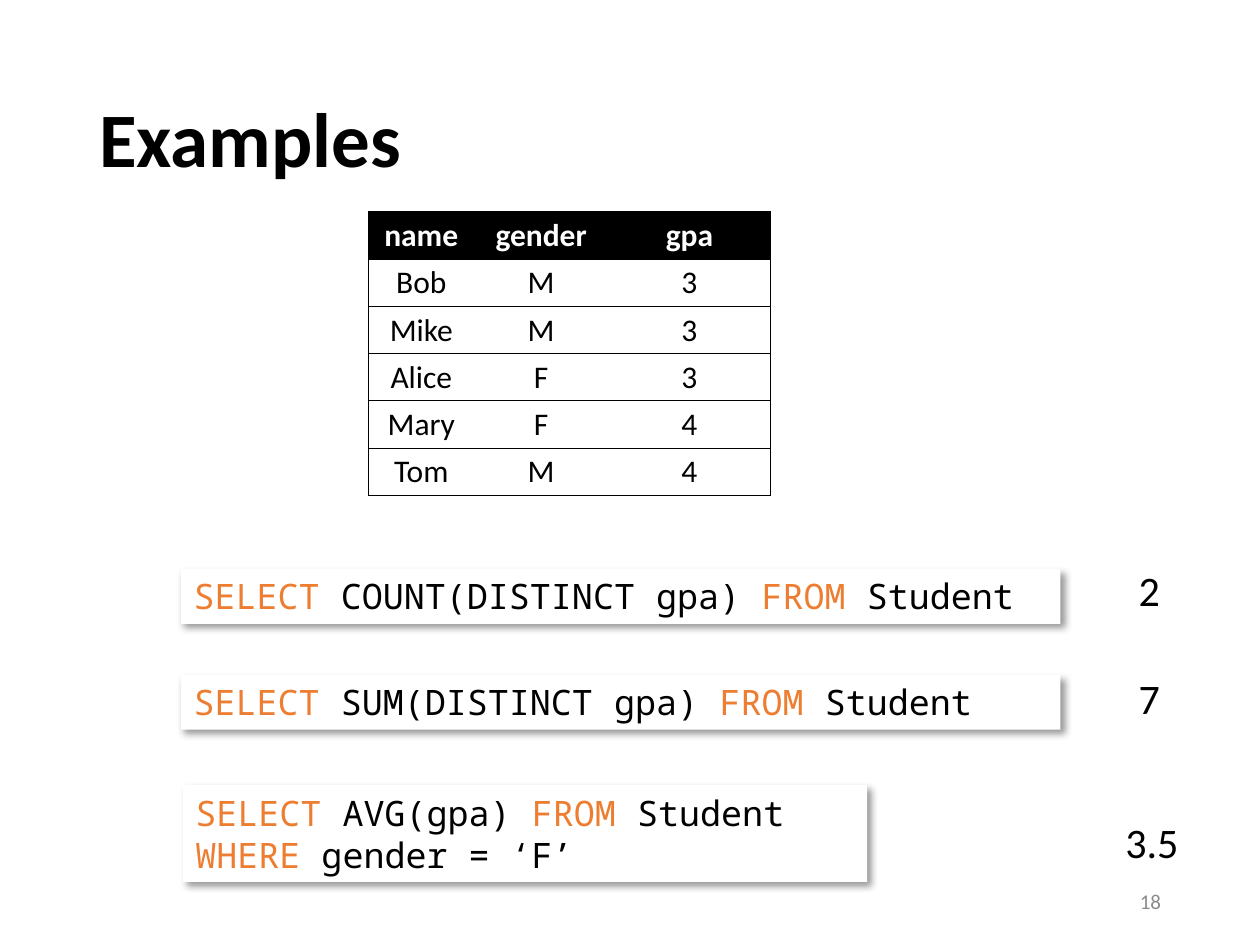
from itertools import groupby

from lxml.etree import SubElement
from pptx import Presentation
from pptx.dml.color import RGBColor
from pptx.enum.shapes import MSO_SHAPE
from pptx.enum.text import MSO_ANCHOR, PP_ALIGN
from pptx.oxml.ns import qn
from pptx.util import Pt

BLACK = RGBColor(0, 0, 0)
WHITE = RGBColor(255, 255, 255)
ORANGE = RGBColor(0xED, 0x7D, 0x31)
GRAY = RGBColor(0x8C, 0x8C, 0x8C)

SANS, MONO = "Calibri", "Noto Sans Mono"
KEYWORDS = {"SELECT", "FROM", "WHERE"}

STUDENTS = [
    ("name", "gender", "gpa"),
    ("Bob", "M", "3"),
    ("Mike", "M", "3"),
    ("Alice", "F", "3"),
    ("Mary", "F", "4"),
    ("Tom", "M", "4"),
]
COLUMN_WIDTHS = (60.5, 76.5, 93)
ROW_HEIGHT = 27

# query text, query box, result, result box
QUERIES = [
    ("SELECT COUNT(DISTINCT gpa) FROM Student", (103.5, 325, 502.5, 31.5),
     "2", (643.5, 319, 27, 36)),
    ("SELECT SUM(DISTINCT gpa) FROM Student", (103.5, 385.5, 502.5, 31.5),
     "7", (643.5, 381, 27, 36)),
    ("SELECT AVG(gpa) FROM Student WHERE gender = ‘F’", (104.5, 448.5, 391, 55.5),
     "3.5", (636, 463, 45, 36)),
]


def style(item, size, color, bold=False, name=SANS):
    """Format the font of a run or a paragraph."""
    font = item.font
    font.name, font.size, font.bold = name, Pt(size), bold
    font.color.rgb = color


def add_title(slide, box, text):
    title = slide.shapes.title
    title.left, title.top, title.width, title.height = map(Pt, box)
    tf = title.text_frame
    tf.text = text
    tf.vertical_anchor = MSO_ANCHOR.MIDDLE
    p = tf.paragraphs[0]
    p.alignment, p.line_spacing = PP_ALIGN.LEFT, 0.9
    style(p.runs[0], 44, BLACK, bold=True)


def add_text(slide, box, text, size, color, align=PP_ALIGN.LEFT, wrap=False):
    tf = slide.shapes.add_textbox(*map(Pt, box)).text_frame
    tf.text = text
    tf.word_wrap = wrap
    tf.vertical_anchor = MSO_ANCHOR.MIDDLE if wrap else MSO_ANCHOR.TOP
    p = tf.paragraphs[0]
    p.alignment = align
    style(p.runs[0], size, color)


def set_borders(cell, sides):
    """Draw thin black lines on the given sides and none on the others."""
    props = cell._tc.get_or_add_tcPr()
    for i, side in enumerate("LRTB"):
        line = SubElement(props, qn(f"a:ln{side}"), w=str(Pt(0.5)))
        if side in sides:
            fill = SubElement(line, qn("a:solidFill"))
            SubElement(fill, qn("a:srgbClr"), val=str(BLACK))
        else:
            SubElement(line, qn("a:noFill"))
        props.insert(i, line)


def add_student_table(slide, left, top):
    rows, cols = len(STUDENTS), len(COLUMN_WIDTHS)
    frame = slide.shapes.add_table(rows, cols, Pt(left), Pt(top),
                                   Pt(sum(COLUMN_WIDTHS)), Pt(rows * ROW_HEIGHT))
    table = frame.table
    for column, width in zip(table.columns, COLUMN_WIDTHS):
        column.width = Pt(width)
    for r, record in enumerate(STUDENTS):
        header = r == 0
        for c, value in enumerate(record):
            cell = table.cell(r, c)
            cell.text = value
            cell.margin_left = cell.margin_right = Pt(5)
            cell.margin_top = cell.margin_bottom = Pt(2.7)
            cell.fill.solid()
            cell.fill.fore_color.rgb = BLACK if header else WHITE
            p = cell.text_frame.paragraphs[0]
            p.alignment = PP_ALIGN.CENTER
            style(p.runs[0], 18, WHITE if header else BLACK, bold=header)
            sides = "TB" + "L" * (c == 0) + "R" * (c == cols - 1)
            set_borders(cell, sides)


def add_shadow(shape):
    effects = SubElement(shape._element.spPr, qn("a:effectLst"))
    shadow = SubElement(effects, qn("a:outerShdw"), blurRad=str(Pt(4)),
                        dist=str(Pt(3)), dir="2700000", algn="tl", rotWithShape="0")
    color = SubElement(shadow, qn("a:srgbClr"), val=str(BLACK))
    SubElement(color, qn("a:alpha"), val="40000")


def add_query(slide, box, query):
    """Add a code box with its SQL keywords in orange."""
    s = slide.shapes.add_shape(MSO_SHAPE.RECTANGLE, *map(Pt, box))
    s.fill.solid()
    s.fill.fore_color.rgb = WHITE
    s.line.fill.background()
    add_shadow(s)
    tf = s.text_frame
    tf.word_wrap = True
    tf.vertical_anchor = MSO_ANCHOR.TOP
    p = tf.paragraphs[0]
    p.alignment = PP_ALIGN.LEFT
    words = query.replace(" ", " \n").split("\n")
    for is_keyword, group in groupby(words, lambda word: word.strip() in KEYWORDS):
        r = p.add_run()
        r.text = "".join(group)
        style(r, 20, ORANGE if is_keyword else BLACK, name=MONO)


def main():
    prs = Presentation()
    prs.slide_width, prs.slide_height = Pt(720), Pt(540)
    slide = prs.slides.add_slide(prs.slide_layouts[5])
    add_title(slide, (49.5, 29, 621, 104.5), "Examples")
    add_text(slide, (508.5, 500.5, 162, 28.5), "18", 12, GRAY, PP_ALIGN.RIGHT, wrap=True)
    add_student_table(slide, 210.5, 121)
    for query, query_box, result, result_box in QUERIES:
        add_query(slide, query_box, query)
        add_text(slide, result_box, result, 24, BLACK)
    prs.save("out.pptx")


if __name__ == "__main__":
    main()
